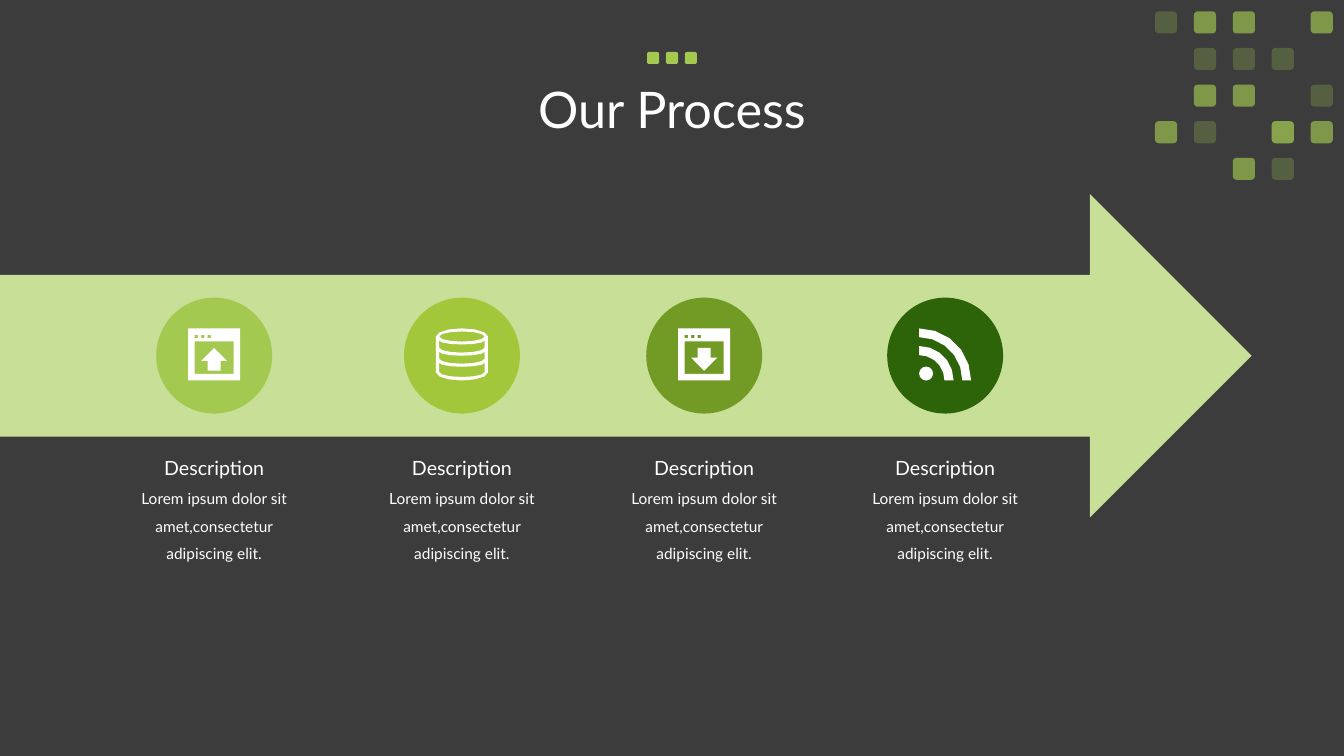
import math
from dataclasses import dataclass

import pptx
import pptx.dml.color
import pptx.enum.shapes
import pptx.enum.text
import pptx.oxml.ns
import pptx.util
from lxml import etree

Pt = pptx.util.Pt
RGBColor = pptx.dml.color.RGBColor
MSO_SHAPE = pptx.enum.shapes.MSO_SHAPE
MSO_ANCHOR = pptx.enum.text.MSO_ANCHOR
MSO_AUTO_SIZE = pptx.enum.text.MSO_AUTO_SIZE
PP_ALIGN = pptx.enum.text.PP_ALIGN

BACKGROUND = RGBColor(0x3C, 0x3C, 0x3C)
WHITE = RGBColor(0xFF, 0xFF, 0xFF)
GREEN = RGBColor(0xA3, 0xC9, 0x51)
PALE_GREEN = RGBColor(0xC8, 0xDF, 0x97)
LIME = RGBColor(0xA3, 0xC7, 0x3A)
OLIVE = RGBColor(0x72, 0x9B, 0x25)
DARK_GREEN = RGBColor(0x2D, 0x64, 0x09)

FONT = "Lato"
SLIDE_W, SLIDE_H = 960, 540
CIRCLE_TOP, CIRCLE_SIZE = 212.6, 82.8
ICON_TOP, ICON_SIZE = 234.6, 37.2
ICON_UNITS = 16  # icons are drawn on a 16 x 16 grid

# Corner mosaic: f = faint, s = strong, b = both stacked
MOSAIC = ("fss.s", ".fff.", ".ss.f", "sf.bs", "..sf.")
MOSAIC_ALPHAS = {".": (), "f": (25,), "s": (65,), "b": (65, 25)}

Contour = list[tuple[float, float]]


@dataclass
class Step:
    center: float
    color: RGBColor
    icon: list[list[Contour]]
    dot_size: float = 0
    title: str = "Description"
    body: str = "Lorem ipsum dolor sit amet,consectetur adipiscing elit."


def rect(left: float, top: float, right: float, bottom: float) -> Contour:
    return [(left, top), (right, top), (right, bottom), (left, bottom)]


def arc(cx: float, cy: float, rx: float, ry: float,
        start: int, end: int, count: int) -> Contour:
    """Points on an ellipse, in degrees clockwise from the right."""
    angles = [math.radians(start + (end - start) * i / count) for i in range(count + 1)]
    return [(cx + rx * math.cos(a), cy + ry * math.sin(a)) for a in angles]


def window_icon(upward: bool) -> list[list[Contour]]:
    frame = [rect(0, 0, 16, 16), rect(2, 4, 14, 14)]
    frame += [rect(x, 2, x + 1, 3) for x in (2, 4, 6)]
    arrow = [(8, 6), (12, 10), (10, 10), (10, 13), (6, 13), (6, 10), (4, 10)]
    if not upward:
        arrow = [(x, 19 - y) for x, y in arrow]
    return [frame, [arrow]]


def database_icon() -> list[list[Contour]]:
    contours = [
        arc(8, 2.5, 8, 2.5, 180, 360, 6) + arc(8, 13.5, 8, 2.5, 0, 180, 6),
        arc(8, 2.5, 7, 1.55, 0, 330, 11),
    ]
    for top, bottom in ((3.7, 5.9), (7.15, 9.3), (10.55, 13.4)):
        contours.append(arc(8, top, 7, 1.25, 180, 0, 6)
                        + arc(8, bottom, 7, 1.55, 0, 180, 6))
    return [contours]


def feed_icon() -> list[list[Contour]]:
    return [
        [arc(0, 16, outer, outer, 270, 360, 5) + arc(0, 16, inner, inner, 360, 270, 5)]
        for outer, inner in ((10.6, 7.8), (16, 13.3))
    ]


def paint(sp, color: RGBColor, alpha: int = 100) -> None:
    sp.shadow.inherit = False
    sp.line.fill.background()
    sp.fill.solid()
    sp.fill.fore_color.rgb = color
    if alpha < 100:
        clr = sp.fill._xPr.find(".//" + pptx.oxml.ns.qn("a:srgbClr"))
        etree.SubElement(clr, pptx.oxml.ns.qn("a:alpha"), val=str(alpha * 1000))


def add_shape(s, kind, left: float, top: float, width: float, height: float,
              color: RGBColor, alpha: int = 100) -> None:
    sp = s.shapes.add_shape(kind, Pt(left), Pt(top), Pt(width), Pt(height))
    paint(sp, color, alpha)


def add_icon(s, left: float, icon: list[list[Contour]]) -> None:
    unit = ICON_SIZE / ICON_UNITS
    for part in icon:
        outlines = [[(Pt(left + x * unit), Pt(ICON_TOP + y * unit)) for x, y in contour]
                    for contour in part]
        builder = s.shapes.build_freeform(*outlines[0][0])
        for i, points in enumerate(outlines):
            if i:
                builder.move_to(*points[0])
            builder.add_line_segments(points[1:], close=True)
        paint(builder.convert_to_shape(), WHITE)


def add_text(s, text: str, center: float, top: float, width: float, height: float,
             size: float, spacing: float = 1.0, wrap: bool = True,
             anchor=MSO_ANCHOR.TOP, auto_size=MSO_AUTO_SIZE.SHAPE_TO_FIT_TEXT) -> None:
    box = s.shapes.add_textbox(Pt(center - width / 2), Pt(top), Pt(width), Pt(height))
    tf = box.text_frame
    tf.word_wrap = wrap
    tf.auto_size = auto_size
    tf.vertical_anchor = anchor
    p = tf.paragraphs[0]
    p.text = text
    p.alignment = PP_ALIGN.CENTER
    p.line_spacing = spacing
    p.font.name = FONT
    p.font.size = Pt(size)
    p.font.color.rgb = WHITE


def add_header(s) -> None:
    add_text(s, "Our Process", SLIDE_W / 2, 28.1, 828, 104.4, 36, 0.9,
             anchor=MSO_ANCHOR.MIDDLE, auto_size=MSO_AUTO_SIZE.NONE)
    for row, marks in enumerate(MOSAIC):
        for col, mark in enumerate(marks):
            for alpha in MOSAIC_ALPHAS[mark]:
                add_shape(s, MSO_SHAPE.ROUNDED_RECTANGLE, 825 + 27.8 * col,
                          8.1 + 26.15 * row, 15.8, 15.8, GREEN, alpha)
    for i in range(3):
        add_shape(s, MSO_SHAPE.ROUNDED_RECTANGLE, 462.2 + 13.5 * i, 37.1, 8.6, 8.6, GREEN)


def add_step(s, step: Step) -> None:
    icon_left = step.center - ICON_SIZE / 2
    add_shape(s, MSO_SHAPE.OVAL, step.center - CIRCLE_SIZE / 2, CIRCLE_TOP,
              CIRCLE_SIZE, CIRCLE_SIZE, step.color)
    if step.dot_size:
        add_shape(s, MSO_SHAPE.OVAL, icon_left, ICON_TOP + ICON_SIZE - step.dot_size,
                  step.dot_size, step.dot_size, WHITE)
    add_icon(s, icon_left, step.icon)
    add_text(s, step.title, step.center, 322.2, 90, 24.2, 14, wrap=False)
    add_text(s, step.body, step.center, 339.2, 142.6, 64.8, 11, 1.5)


def main() -> None:
    steps = [
        Step(153, GREEN, window_icon(upward=True)),
        Step(330, LIME, database_icon()),
        Step(503, OLIVE, window_icon(upward=False)),
        Step(675.1, DARK_GREEN, feed_icon(), dot_size=10),
    ]
    prs = pptx.Presentation()
    prs.slide_width, prs.slide_height = Pt(SLIDE_W), Pt(SLIDE_H)
    s = prs.slides.add_slide(prs.slide_layouts[6])
    s.background.fill.solid()
    s.background.fill.fore_color.rgb = BACKGROUND
    add_header(s)
    add_shape(s, MSO_SHAPE.NOTCHED_RIGHT_ARROW, -58.5, 138.6, 952.5, 231, PALE_GREEN)
    for step in steps:
        add_step(s, step)
    prs.save("out.pptx")


if __name__ == "__main__":
    main()
